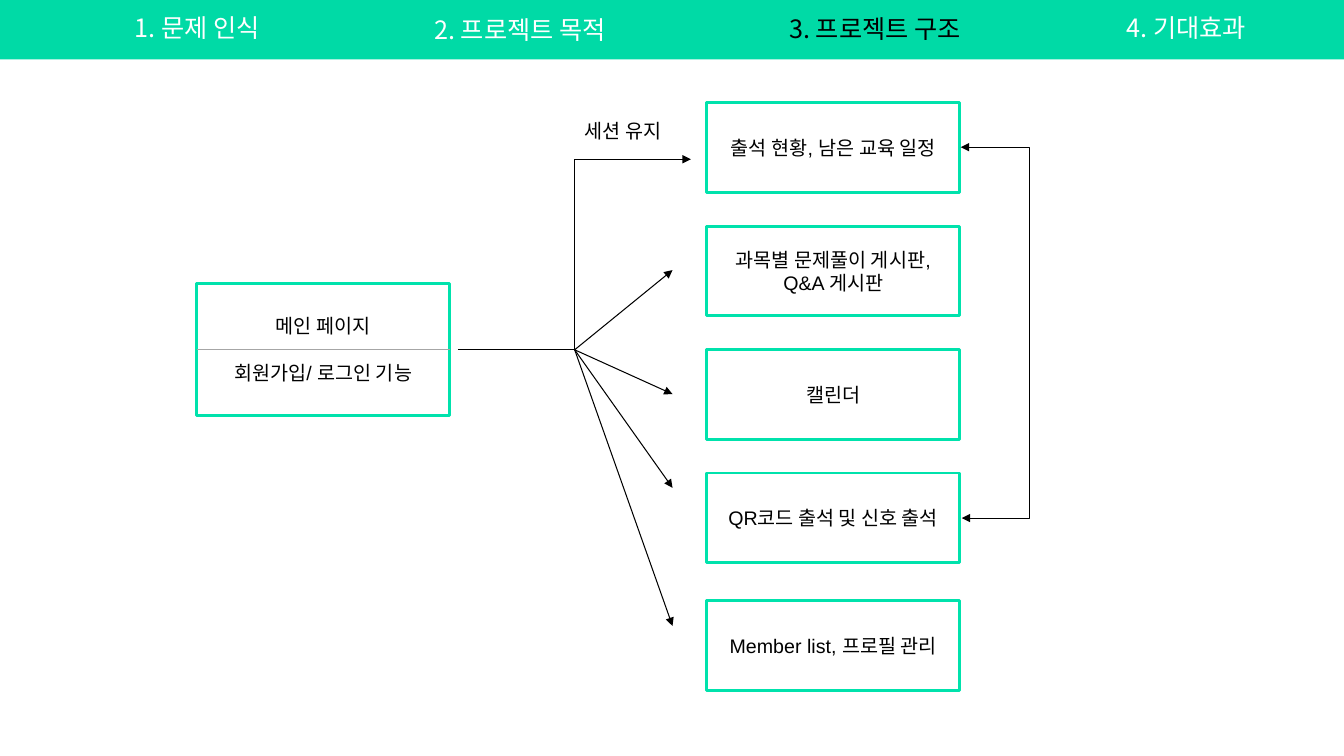
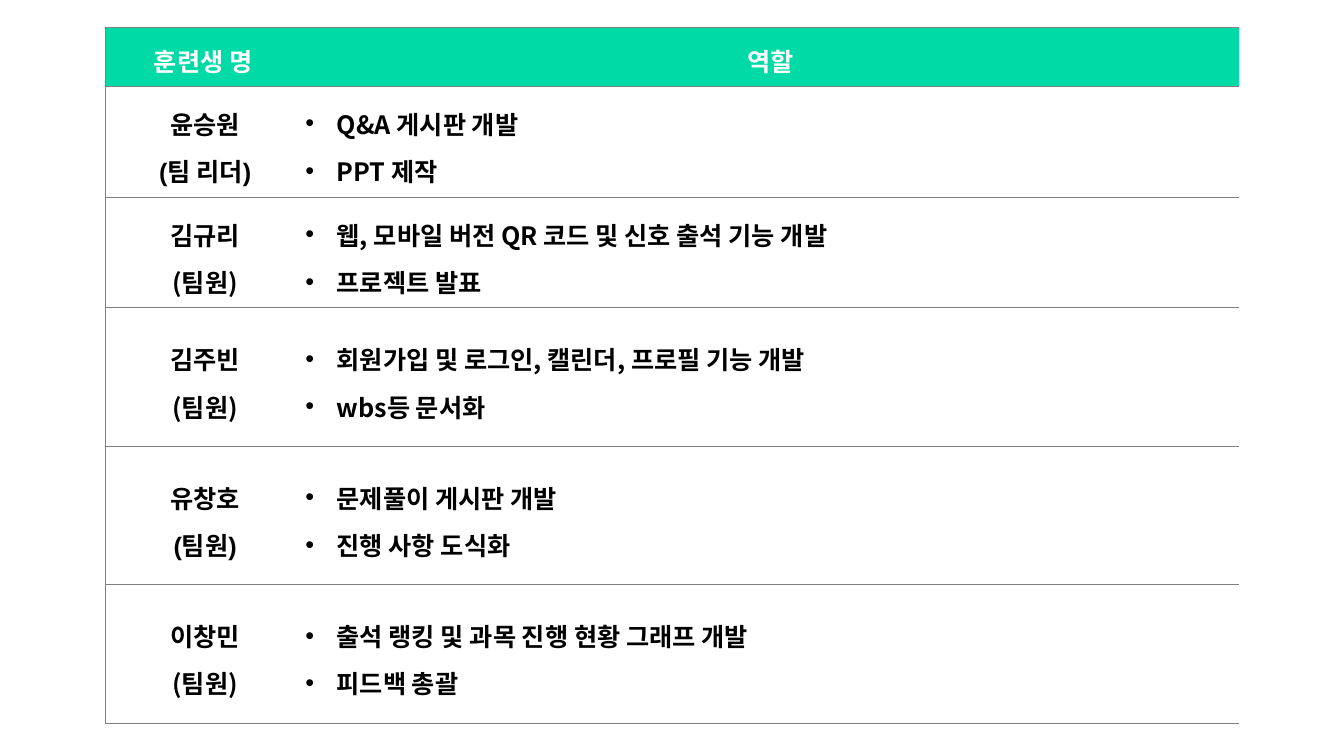
from typing import NamedTuple

from lxml.etree import SubElement
from pptx import Presentation
from pptx.dml.color import RGBColor
from pptx.enum.shapes import MSO_CONNECTOR as Link, MSO_SHAPE as Form
from pptx.enum.text import MSO_ANCHOR as Anchor, MSO_AUTO_SIZE as Auto, PP_ALIGN as Align
from pptx.oxml.ns import qn
from pptx.util import Emu, Inches, Pt

# Shared look
WIDTH, HEIGHT = Inches(13.33), Inches(7.5)
MINT = RGBColor(0x00, 0xDA, 0xA6)
EDGE = RGBColor(0x00, 0xE2, 0xAC)
SPLIT = RGBColor(0xA6, 0xA6, 0xA6)
GREY = RGBColor(0x80, 0x80, 0x80)
WHITE = RGBColor(0xFF, 0xFF, 0xFF)
BLACK = RGBColor(0x00, 0x00, 0x00)
SANS, KOREAN = "Arial", "Noto Sans CJK KR"


class Box(NamedTuple):
    """Place and size in percent of the slide."""
    left: float
    top: float
    wide: float
    high: float


class Tab(NamedTuple):
    text: str
    box: Box
    color: RGBColor = WHITE


class Spot(NamedTuple):
    """A point in percent of the slide."""
    x: float
    y: float


class Member(NamedTuple):
    name: str
    role: str
    tasks: list[str]
    high: float
    font: str = KOREAN


# Navigation band
BAND = Box(0, 0, 100, 7.87)
TABS = [
    Tab("1. 문제 인식", Box(2.78, 0.93, 23.78, 5.33)),
    Tab("2. 프로젝트 목적 ", Box(30.68, 1.2, 16.43, 5.33)),
    Tab("3. 프로젝트 구조 ", Box(57.09, 1.07, 16.43, 5.33), BLACK),
    Tab("4. 기대효과", Box(80.04, 0.93, 16.43, 5.33)),
]

# Site map
MAIN = Box(14.63, 37.47, 18.83, 17.47)
LABEL = Box(42.76, 15.07, 8.48, 4.53)
PAGE_X, PAGE_W, PAGE_H = 52.59, 18.83, 11.87
PAGES = [
    (13.6, ["출석 현황, 남은 교육 일정"]),
    (29.92, ["과목별 문제풀이 게시판,", "Q&A 게시판"]),
    (46.24, ["캘린더"]),
    (62.56, ["QR코드 출석 및 신호 출석"]),
    (79.47, ["Member list, 프로필 관리"]),
]
HUB = Spot(42.76, 46.27)
TIP_X = 50.04
TIPS = [35.73, 52.13, 64.53, 82.8]
LOOP = Spot(71.48, 19.47), Spot(71.56, 68.53)
LOOP_X = 76.59

# Team table
TABLE = Box(7.8, 3.6, 84.4, 91.73)
NAME_W, HEAD_H = 14.63, 7.78
HEADS = ["훈련생 명", "역할"]
TEAM = [
    Member("윤승원", "(팀 리더)", ["Q&A 게시판 개발", "PPT 제작"], 14.67, SANS),
    Member("김규리", "(팀원)",
           ["웹, 모바일 버전 QR 코드 및 신호 출석 기능 개발", "프로젝트 발표"], 14.67),
    Member("김주빈", "(팀원)",
           ["회원가입 및 로그인, 캘린더, 프로필 기능 개발", "wbs등 문서화"], 18.3),
    Member("유창호", "(팀원)", ["문제풀이 게시판 개발", "진행 사항 도식화"], 18.3, SANS),
    Member("이창민", "(팀원)",
           ["출석 랭킹 및 과목 진행 현황 그래프 개발", "피드백 총괄"], 18.3),
]


def across(share: float) -> Emu:
    return Emu(round(WIDTH * share / 100))


def down(share: float) -> Emu:
    return Emu(round(HEIGHT * share / 100))


def place(box: Box) -> tuple[Emu, Emu, Emu, Emu]:
    return across(box.left), down(box.top), across(box.wide), down(box.high)


def write(frame, lines: list[str], *, size: float = 14, font: str = SANS,
          color: RGBColor = BLACK, bold: bool = False, align=Align.CENTER,
          lead: float | None = None, gap: float = 0, dots: bool = False) -> None:
    """Fill a text frame, one paragraph a line."""
    for i, line in enumerate(lines):
        para = frame.paragraphs[0] if i == 0 else frame.add_paragraph()
        para.alignment = align
        if lead:
            para.line_spacing = lead
        if i and gap:
            para.space_before = Pt(gap)
        if dots:
            props = para._p.get_or_add_pPr()
            props.set("marL", str(Inches(0.31)))
            props.set("indent", str(-Inches(0.31)))
            SubElement(props, qn("a:buFont"), typeface=SANS)
            SubElement(props, qn("a:buChar"), char="•")
        run = para.add_run()
        run.text = line
        run.font.size, run.font.bold, run.font.name = Pt(size), bold, font
        run.font.color.rgb = color
        SubElement(run._r.get_or_add_rPr(), qn("a:ea"), typeface=KOREAN)


def panel(slide, box: Box, fill: RGBColor, edge: RGBColor | None = None):
    shape = slide.shapes.add_shape(Form.RECTANGLE, *place(box))
    shape.shadow.inherit = False
    shape.fill.solid()
    shape.fill.fore_color.rgb = fill
    if edge is None:
        shape.line.fill.background()
    else:
        shape.line.color.rgb = edge
        shape.line.width = Pt(2)
    shape.text_frame.word_wrap = True
    shape.text_frame.vertical_anchor = Anchor.MIDDLE
    return shape.text_frame


def label(slide, box: Box, text: str, **style) -> None:
    frame = slide.shapes.add_textbox(*place(box)).text_frame
    frame.word_wrap = True
    frame.auto_size = Auto.SHAPE_TO_FIT_TEXT
    write(frame, [text], **style)


def link(slide, start: Spot, end: Spot, *, kind=Link.STRAIGHT, color: RGBColor = BLACK,
         head: bool = False, tail: bool = True, bend: float | None = None) -> None:
    """Draw a line; bend is the x of an elbow's upright part."""
    line = slide.shapes.add_connector(kind, across(start.x), down(start.y),
                                      across(end.x), down(end.y))
    line.line.color.rgb = color
    line.line.width = Pt(0.75)
    props = line._element.spPr
    for tag, shown in (("a:headEnd", head), ("a:tailEnd", tail)):
        if shown:
            SubElement(props.find(qn("a:ln")), qn(tag), type="triangle")
    SubElement(props, qn("a:effectLst"))
    if bend is not None:
        ratio = round((bend - start.x) / (end.x - start.x) * 100000)
        guides = props.find(qn("a:prstGeom")).get_or_add_avLst()
        SubElement(guides, qn("a:gd"), name="adj1", fmla=f"val {ratio}")


def border(cell, sides: str) -> None:
    """Rule the given sides (of L, R, T, B) and clear the rest."""
    props = cell._tc.get_or_add_tcPr()
    for side in "LRTB":
        line = SubElement(props, qn(f"a:ln{side}"), w=str(Pt(0.5)))
        if side in sides:
            SubElement(SubElement(line, qn("a:solidFill")), qn("a:srgbClr"), val=str(GREY))
        else:
            SubElement(line, qn("a:noFill"))


def entry(cell, lines: list[str], *, first: bool, fill: RGBColor | None = None,
          inset: float = 0.04, **style) -> None:
    cell.vertical_anchor = Anchor.MIDDLE
    cell.margin_left = Inches(inset)
    cell.margin_right = cell.margin_top = cell.margin_bottom = 0
    border(cell, "LTB" if first else "TB")
    if fill is None:
        cell.fill.background()
    else:
        cell.fill.solid()
        cell.fill.fore_color.rgb = fill
    write(cell.text_frame, lines, size=18, bold=True, **style)


def draw_map(slide) -> None:
    # Boxes
    write(panel(slide, MAIN, WHITE, EDGE), ["메인 페이지", "회원가입/ 로그인 기능"], gap=17)
    for top, lines in PAGES:
        write(panel(slide, Box(PAGE_X, top, PAGE_W, PAGE_H), WHITE, EDGE), lines)

    # Lines and arrows
    link(slide, Spot(MAIN.left, HUB.y), Spot(MAIN.left + MAIN.wide, HUB.y),
         color=SPLIT, tail=False)
    link(slide, Spot(34.06, HUB.y), Spot(51.4, 21.07), kind=Link.ELBOW, bend=HUB.x)
    for y in TIPS:
        link(slide, HUB, Spot(TIP_X, y))
    link(slide, *LOOP, kind=Link.ELBOW, head=True, bend=LOOP_X)
    label(slide, LABEL, "세션 유지", align=Align.LEFT)

    # Band
    panel(slide, BAND, MINT)
    for tab in TABS:
        label(slide, tab.box, tab.text, size=18, font=KOREAN, color=tab.color)


def draw_team(slide) -> None:
    table = slide.shapes.add_table(len(TEAM) + 1, 2, *place(TABLE)).table
    table.first_row = table.horz_banding = False
    for col, wide in zip(table.columns, (NAME_W, TABLE.wide - NAME_W)):
        col.width = across(wide)
    for row, high in zip(table.rows, [HEAD_H, *(m.high for m in TEAM)]):
        row.height = down(high)
    for i, head in enumerate(HEADS):
        entry(table.cell(0, i), [head], first=i == 0, fill=MINT, inset=0,
              font=KOREAN, color=WHITE, lead=1.2)
    for i, who in enumerate(TEAM, 1):
        entry(table.cell(i, 0), [who.name, who.role], first=True, font=who.font, lead=1.3)
        entry(table.cell(i, 1), who.tasks, first=False, font=KOREAN, lead=1.3,
              align=Align.LEFT, dots=True)


def main() -> None:
    deck = Presentation()
    deck.slide_width, deck.slide_height = WIDTH, HEIGHT
    for draw in (draw_map, draw_team):
        draw(deck.slides.add_slide(deck.slide_layouts[6]))
    deck.save("out.pptx")


if __name__ == "__main__":
    main()
